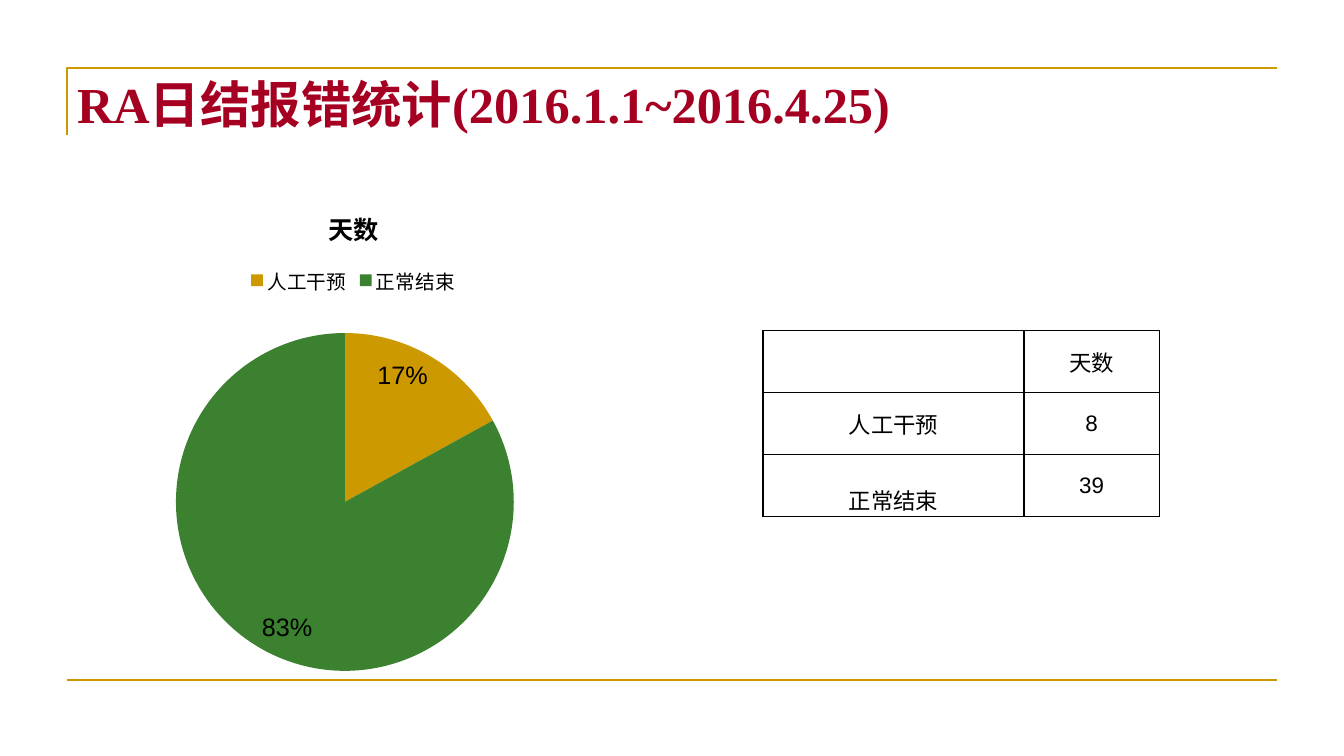
from lxml import etree
from pptx import Presentation
from pptx import util as u
from pptx.chart import data as chart_data
from pptx.dml.color import RGBColor
from pptx.enum import chart as ce
from pptx.enum import shapes, text
from pptx.oxml import parse_xml
from pptx.oxml.ns import nsdecls, qn

GOLD, GREEN, RED, BLACK = "CC9900", "3B812F", "A50021", "000000"
LABELS = ["人工干预", "正常结束"]
MEASURE = "天数"


def color(value):
    """Turn a hex string into a colour."""
    return RGBColor.from_string(value)


def style(font, size, fill=BLACK, name="Arial", bold=False):
    """Set the look of a font."""
    font.size, font.name, font.bold = u.Pt(size), name, bold
    font.color.rgb = color(fill)


def points(*lengths):
    """Convert lengths in points."""
    return [u.Pt(length) for length in lengths]


def flatten(shape):
    """Give a rule its gold line and no shadow."""
    shape.line.color.rgb = color(GOLD)
    shape.line.width = u.Pt(1.5)
    properties = shape._element.spPr
    if properties.find(qn("a:effectLst")) is None:
        etree.SubElement(properties, qn("a:effectLst"))


def add_frame(page, left, top, width, height, corner):
    """Draw the corner bracket and the bottom rule."""
    builder = page.shapes.build_freeform(*points(left, top + corner), scale=1.0)
    builder.add_line_segments(
        [points(left, top), points(left + width, top)], close=False)
    bracket = builder.convert_to_shape()
    bracket.fill.background()
    flatten(bracket)
    bottom = top + height
    flatten(page.shapes.add_connector(
        shapes.MSO_CONNECTOR.STRAIGHT, *points(left, bottom, left + width, bottom)))


def add_title(page, left, top, width, height, wording):
    """Write the slide title."""
    frame = page.shapes.add_textbox(*points(left, top, width, height)).text_frame
    frame.word_wrap = True
    frame.vertical_anchor = text.MSO_ANCHOR.TOP
    frame.text = wording
    style(frame.paragraphs[0].runs[0].font, 36, RED, "Times New Roman", True)


def add_pie(page, left, top, width, height, values):
    """Draw the pie with its title, legend and percentages."""
    data = chart_data.CategoryChartData()
    data.categories = LABELS
    data.add_series(MEASURE, values)
    chart = page.shapes.add_chart(
        ce.XL_CHART_TYPE.PIE, *points(left, top, width, height), data).chart
    style(chart.font, 10)
    chart.has_title = True
    title = chart.chart_title.text_frame
    title.text = MEASURE
    style(title.paragraphs[0].runs[0].font, 18, bold=True)
    chart.has_legend = True
    chart.legend.position = ce.XL_LEGEND_POSITION.TOP
    chart.legend.include_in_layout = False
    style(chart.legend.font, 14)
    plot = chart.plots[0]
    plot.vary_by_categories = True
    for index, fill in enumerate([GOLD, GREEN]):
        wedge = plot.series[0].points[index].format
        wedge.fill.solid()
        wedge.fill.fore_color.rgb = color(fill)
        wedge.line.fill.background()
    plot.has_data_labels = True
    labels = plot.data_labels
    labels.show_percentage, labels.show_value = True, False
    labels.number_format, labels.number_format_is_linked = "0%", False
    labels.position = ce.XL_LABEL_POSITION.INSIDE_END
    style(labels.font, 18)
    area = chart._chartSpace.chart.plotArea
    for layout in area.findall(qn("c:layout")):
        area.remove(layout)
    area.insert(0, parse_xml(
        f'<c:layout {nsdecls("c")}><c:manualLayout><c:layoutTarget val="inner"/>'
        '<c:xMode val="edge"/><c:yMode val="edge"/><c:x val="0.19"/>'
        '<c:y val="0.29"/><c:w val="0.59"/><c:h val="0.68"/>'
        '</c:manualLayout></c:layout>'))


def add_borders(cell):
    """Outline a cell in black."""
    properties = cell._tc.get_or_add_tcPr()
    for index, side in enumerate(["lnL", "lnR", "lnT", "lnB"]):
        properties.insert(index, parse_xml(
            f'<a:{side} {nsdecls("a")} w="12700"><a:solidFill>'
            f'<a:srgbClr val="{BLACK}"/></a:solidFill></a:{side}>'))


def add_days_table(page, left, top, widths, row_height, rows):
    """Build the table of day counts."""
    table = page.shapes.add_table(
        len(rows), len(widths),
        *points(left, top, sum(widths), row_height * len(rows))).table
    table.first_row = table.horz_banding = False
    for column, width in zip(table.columns, widths):
        column.width = u.Pt(width)
    for row, wordings in zip(table.rows, rows):
        row.height = u.Pt(row_height)
        for cell, wording in zip(row.cells, wordings):
            cell.text = wording
            cell.fill.background()
            cell.margin_left = cell.margin_right = 0
            cell.margin_top = cell.margin_bottom = 0
            cell.vertical_anchor = text.MSO_ANCHOR.MIDDLE
            para = cell.text_frame.paragraphs[0]
            para.alignment = text.PP_ALIGN.CENTER
            style(para.font, 16)
            for span in para.runs:
                style(span.font, 16)
            add_borders(cell)
    table.cell(len(rows) - 1, 0).vertical_anchor = text.MSO_ANCHOR.BOTTOM


def main():
    """Assemble and save the slide."""
    deck = Presentation()
    deck.slide_width, deck.slide_height = points(960, 540)
    page = deck.slides.add_slide(deck.slide_layouts[6])
    add_frame(page, 48, 48.75, 864, 437.25, 48)
    add_title(page, 48, 48.75, 864, 90, "RA日结报错统计(2016.1.1~2016.4.25)")
    add_pie(page, 48, 134, 409, 356.5, [17, 83])
    add_days_table(page, 545, 236, [186.5, 96.5], 44.25,
                   [["", MEASURE], *zip(LABELS, ["8", "39"])])
    deck.save("out.pptx")


if __name__ == "__main__":
    main()
